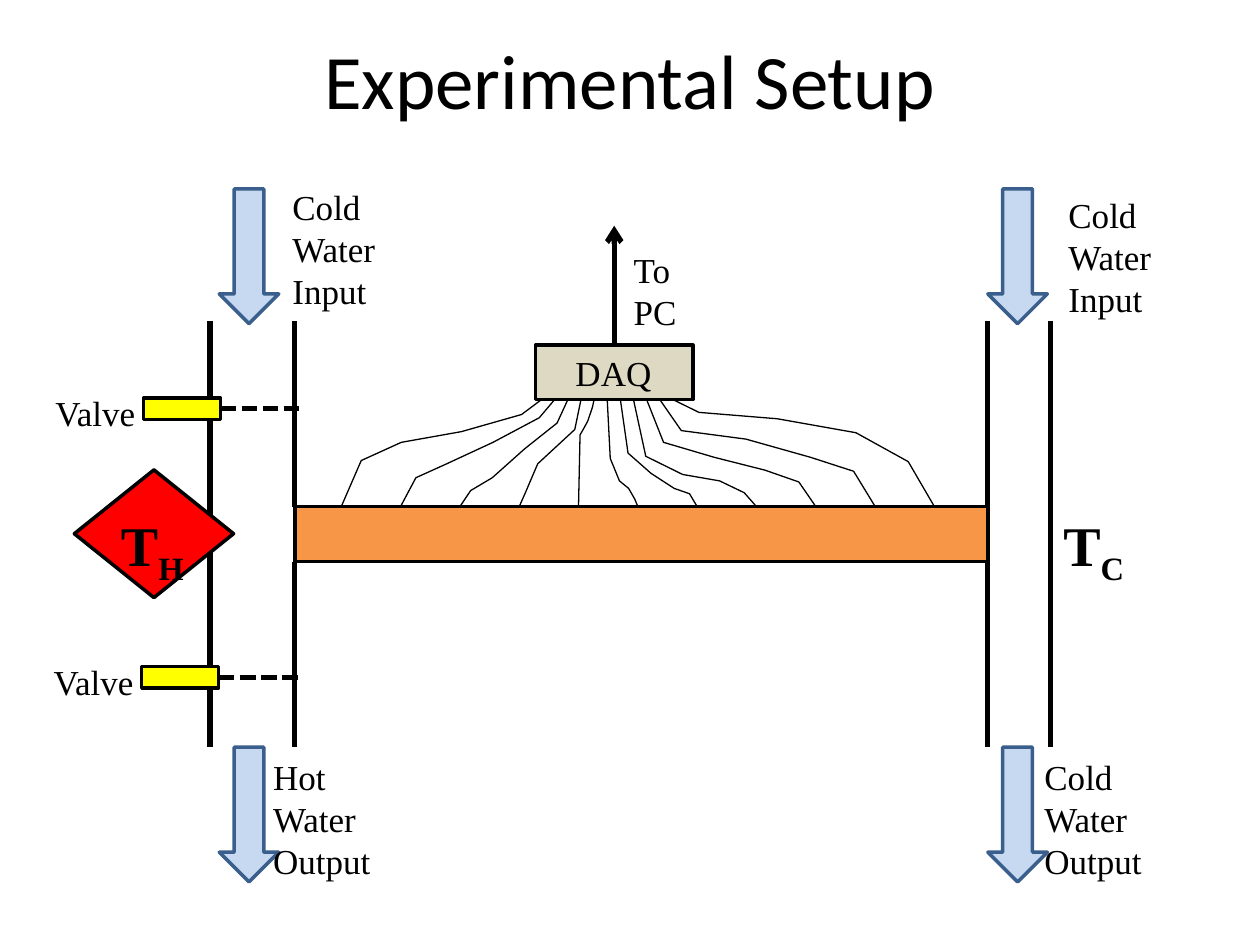
from pptx import Presentation
from pptx.dml.color import RGBColor
from pptx.enum.dml import MSO_LINE
from pptx.enum.shapes import MSO_CONNECTOR, MSO_SHAPE
from pptx.enum.text import MSO_ANCHOR, MSO_AUTO_SIZE, PP_ALIGN
from pptx.oxml.ns import qn
from pptx.util import Pt
from lxml import etree

RECT, DIAMOND, DOWN = MSO_SHAPE.RECTANGLE, MSO_SHAPE.DIAMOND, MSO_SHAPE.DOWN_ARROW
STRAIGHT, DASH = MSO_CONNECTOR.STRAIGHT, MSO_LINE.SQUARE_DOT
GROW, MIDDLE, CENTER = MSO_AUTO_SIZE.SHAPE_TO_FIT_TEXT, MSO_ANCHOR.MIDDLE, PP_ALIGN.CENTER
TOP, RIGHT = 0, 3

COLORS = {
    "black": "000000", "bar": "F79646", "heater": "FF0000", "daq": "DDD9C3",
    "water": "C6D9F1", "water edge": "3A5F8C", "valve": "FFFF00",
}
LABEL = {"name": "Times New Roman", "size": Pt(20)}
TEMPERATURE = {"name": "Times New Roman", "size": Pt(32), "bold": True}
TITLE = {"name": "Calibri", "size": Pt(44)}

deck = Presentation()
deck.slide_width, deck.slide_height = Pt(720), Pt(540)
page = deck.slides.add_slide(deck.slide_layouts[6])
black = RGBColor.from_string(COLORS["black"])


def add_line(x1, y1, x2, y2):
    line = page.shapes.add_connector(STRAIGHT, Pt(x1), Pt(y1), Pt(x2), Pt(y2))
    line.line.color.rgb = black
    line.line.width = Pt(3)
    etree.SubElement(line._element.spPr, qn("a:effectLst"))
    return line


def add_text(left, top, width, height, text, style=LABEL, subscript=""):
    box = page.shapes.add_textbox(Pt(left), Pt(top), Pt(width), Pt(height))
    box.text_frame.word_wrap = True
    box.text_frame.auto_size = GROW
    para = box.text_frame.paragraphs[0]
    for part in filter(None, (text, subscript)):
        span = para.add_run()
        span.text = part
        span.font.color.rgb = black
        for key, value in style.items():
            setattr(span.font, key, value)
    if subscript:
        span.font._element.set("baseline", "-25000")
    return box


# Pipe walls: the outer walls run through, the inner ones open at the bar
HOT_OUTER, HOT_INNER, COLD_INNER, COLD_OUTER = 120, 168.5, 564.5, 600.5
PIPE_TOP, BAR_TOP, BAR_BOTTOM, PIPE_BOTTOM = 183.6, 289.5, 321, 427
for x in (HOT_OUTER, COLD_OUTER):
    add_line(x, PIPE_TOP, x, PIPE_BOTTOM)
for x in (HOT_INNER, COLD_INNER):
    add_line(x, PIPE_TOP, x, BAR_TOP)
    add_line(x, BAR_BOTTOM, x, PIPE_BOTTOM)

# Bar, heater, data box, valves and water arrows
DAQ_TOP, DAQ_HEIGHT = 197.3, 31
VALVES = {"upper valve": (82, 227.5), "lower valve": (81, 381)}
VALVE_WIDTH, VALVE_HEIGHT = 44, 12.2
parts = {
    "bar": (RECT, HOT_INNER, BAR_TOP, COLD_INNER - HOT_INNER, BAR_BOTTOM - BAR_TOP, "bar", "black"),
    "heater": (DIAMOND, 42.5, 268.5, 91, 73, "heater", "black"),
    "daq": (RECT, 306, DAQ_TOP, 90, DAQ_HEIGHT, "daq", "black"),
}
for name, (left, top) in VALVES.items():
    parts[name] = (RECT, left, top, VALVE_WIDTH, VALVE_HEIGHT, "valve", "black")
for side, left in (("hot", 125.3), ("cold", COLD_INNER)):
    for flow, top in (("input", 108), ("output", PIPE_BOTTOM)):
        parts[f"{side} {flow}"] = (DOWN, left, top, 34, 77, "water", "water edge")
shapes = {}
for name, (kind, left, top, width, height, fill, edge) in parts.items():
    shape = page.shapes.add_shape(kind, Pt(left), Pt(top), Pt(width), Pt(height))
    shape.shadow.inherit = False
    shape.fill.solid()
    shape.fill.fore_color.rgb = RGBColor.from_string(COLORS[fill])
    shape.line.color.rgb = RGBColor.from_string(COLORS[edge])
    shape.line.width = Pt(2)
    shapes[name] = shape

# Thermocouple wires: even feet on the bar, even ends at the data box.
# Each row is the share of the rise reached at the four shares of the run.
RUN = (0.1, 0.3, 0.6, 0.9)
rises = (
    (0.43, 0.6, 0.7, 0.86),
    (0.27, 0.4, 0.6, 0.83),
    (0.15, 0.27, 0.54, 0.78),
    (0.13, 0.4, 0.56, 0.72),
    (0.67, 0.72, 0.8, 0.93),
    (0.07, 0.17, 0.24, 0.45),
    (0.12, 0.17, 0.31, 0.5),
    (0.13, 0.24, 0.3, 0.47),
    (0.23, 0.34, 0.46, 0.6),
    (0.33, 0.46, 0.63, 0.71),
    (0.42, 0.69, 0.82, 0.88),
)
WIRE_RISE = BAR_TOP - DAQ_TOP - DAQ_HEIGHT
for index, rise in enumerate(rises):
    foot, end = 195 + 33.9 * index, 309.5 + 7.5 * index
    builder = page.shapes.build_freeform(Pt(foot), Pt(BAR_TOP))
    builder.add_line_segments([
        (Pt(foot + (end - foot) * across), Pt(BAR_TOP - WIRE_RISE * up))
        for across, up in zip((*RUN, 1), (*rise, 1))
    ], close=False)
    wire = builder.convert_to_shape()
    wire.shadow.inherit = False
    wire.fill.background()
    wire.line.color.rgb = black
    wire.line.width = Pt(0.75)

# Valve labels, and dashed lines across the hot pipe
for name, (left, top) in VALVES.items():
    add_text(left - 57.4, top - 7.2, 67, 24, "Valve")
    right, middle = left + VALVE_WIDTH, top + VALVE_HEIGHT / 2
    line = add_line(right, middle, right + 46, middle)
    line.begin_connect(shapes[name], RIGHT)
    line.line.dash_style = DASH

# Arrow from the data box to the computer
arrow = add_line(351, DAQ_TOP, 351, 129)
arrow.begin_connect(shapes["daq"], TOP)
etree.SubElement(arrow.line._get_or_add_ln(), qn("a:tailEnd"), type="arrow")
add_text(355, 138.2, 43.2, 42.5, "To PC")
add_text(321.8, DAQ_TOP, 75, 24, "DAQ")

# Water labels
for left, top, width, text in (
    (160, 102.2, 104.4, "Cold Water Input"),
    (603.4, 107.3, 104.4, "Cold Water Input"),
    (589.7, 428.4, 104.4, "Cold Water Output"),
    (149, 428.4, 91.4, "Hot Water Output"),
):
    add_text(left, top, width, 60.5, text)

# Temperatures
for left, subscript in ((62, "H"), (COLD_OUTER, "C")):
    add_text(left, 288.4, 58.3, 34.6, "T", TEMPERATURE, subscript)

# Title
title = add_text(36, 0, 648, 90, "Experimental Setup", TITLE)
title.text_frame.auto_size = MSO_AUTO_SIZE.NONE
title.text_frame.vertical_anchor = MIDDLE
title.text_frame.paragraphs[0].alignment = CENTER

deck.save("out.pptx")
